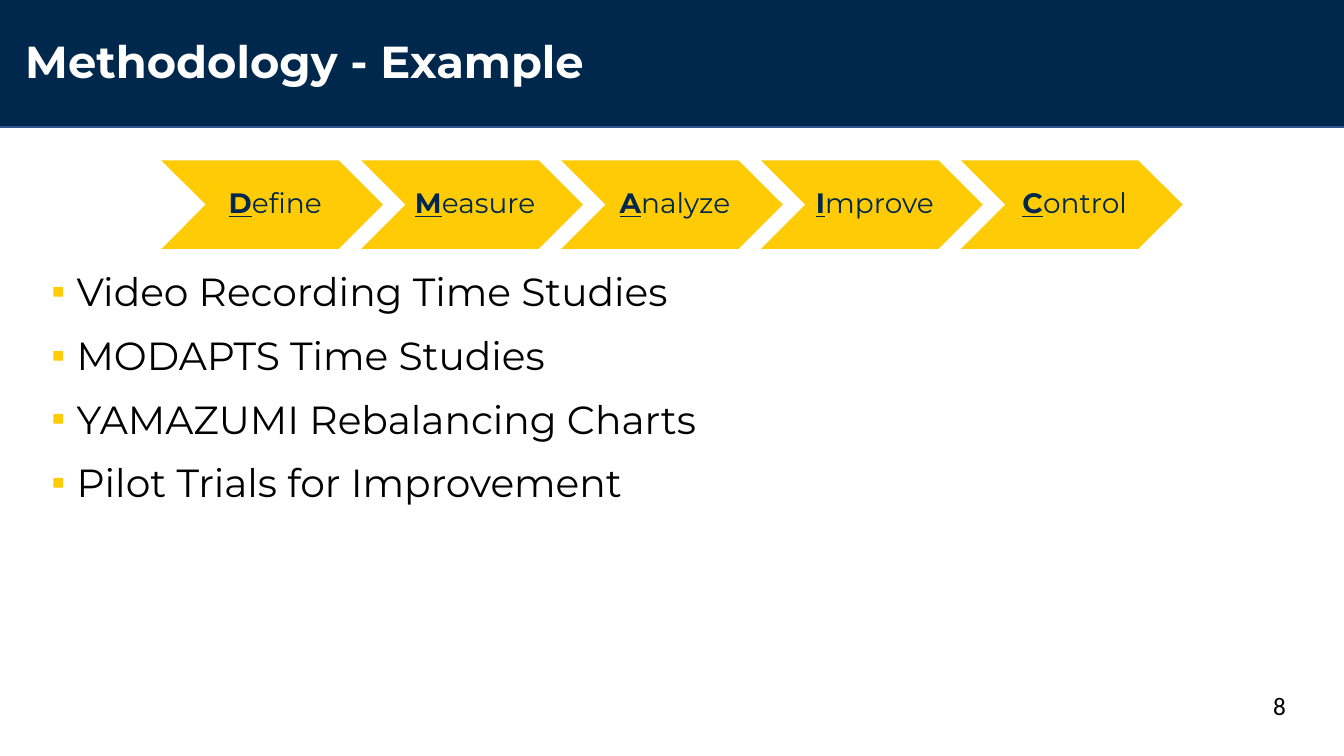
from dataclasses import dataclass

from lxml import etree
from pptx import Presentation
from pptx.dml.color import RGBColor
from pptx.enum.shapes import MSO_SHAPE as Shape
from pptx.enum.text import MSO_ANCHOR as Anchor, MSO_AUTO_SIZE as AutoSize, PP_ALIGN as Align
from pptx.oxml.ns import qn
from pptx.util import Inches, Pt


@dataclass(frozen=True)
class Theme:
    navy: RGBColor = RGBColor(0x00, 0x27, 0x4C)
    edge: RGBColor = RGBColor(0x32, 0x54, 0x91)
    maize: RGBColor = RGBColor(0xFF, 0xCB, 0x05)
    black: RGBColor = RGBColor(0, 0, 0)
    white: RGBColor = RGBColor(0xFF, 0xFF, 0xFF)
    font: str = "Montserrat"
    number_font: str = "Calibri"
    title: Pt = Pt(32)
    body: Pt = Pt(28)
    step: Pt = Pt(20)
    number: Pt = Pt(18)


THEME = Theme()
STEPS = ["Define", "Measure", "Analyze", "Improve", "Control"]
BULLETS = [
    "Video Recording Time Studies",
    "MODAPTS Time Studies",
    "YAMAZUMI Rebalancing Charts",
    "Pilot Trials for Improvement",
]


def set_attributes(target, values):
    for name, value in values.items():
        setattr(target, name, value)


def style_font(font, color, **values):
    set_attributes(font, values)
    font.color.rgb = color


def place(shape, box):
    names = ("left", "top", "width", "height")
    set_attributes(shape, dict(zip(names, map(Inches, box))))


def add_filled_shape(slide, kind, box, color):
    shape = slide.shapes.add_shape(kind, *map(Inches, box))
    shape.shadow.inherit = False
    shape.fill.solid()
    shape.fill.fore_color.rgb = color
    shape.line.fill.background()
    return shape


def add_header(slide, box, text):
    # Banner behind the title
    banner = add_filled_shape(slide, Shape.RECTANGLE, box, THEME.navy)
    banner.line.color.rgb = THEME.edge
    banner.line.width = Pt(1)
    slide.shapes.title._element.addprevious(banner._element)

    # Title
    left, top, _, _ = box
    title = slide.shapes.title
    place(title, (left + 0.29, top + 0.29, 11.5, 0.92))
    title.text = text
    set_attributes(title.text_frame, {
        "auto_size": AutoSize.NONE, "vertical_anchor": Anchor.MIDDLE, "word_wrap": True,
    })
    paragraph = title.text_frame.paragraphs[0]
    set_attributes(paragraph, {"alignment": Align.LEFT, "line_spacing": 0.9})
    style_font(paragraph.runs[0].font, THEME.white, name=THEME.font, size=THEME.title, bold=True)


def add_process(slide, box, steps):
    left, top, width, height = box
    step_width = 2.2
    pitch = (width - step_width) / (len(steps) - 1)
    for index, step in enumerate(steps):
        step_box = (left + index * pitch, top, step_width, height)
        chevron = add_filled_shape(slide, Shape.CHEVRON, step_box, THEME.maize)
        frame = chevron.text_frame
        set_attributes(frame, {
            "margin_left": Inches(0.09), "margin_right": Inches(0.03),
            "margin_top": Inches(0.03), "margin_bottom": Inches(0.03),
            "vertical_anchor": Anchor.MIDDLE, "word_wrap": False,
        })
        paragraph = frame.paragraphs[0]
        set_attributes(paragraph, {"alignment": Align.CENTER, "line_spacing": 0.9})
        # The initial stands out from the rest of the word
        for text, is_initial in ((step[0], True), (step[1:], False)):
            run = paragraph.add_run()
            run.text = text
            style_font(run.font, THEME.navy, name=THEME.font, size=THEME.step,
                       bold=is_initial, underline=is_initial)


def add_square_bullet(paragraph):
    properties = paragraph._p.get_or_add_pPr()
    indent = Inches(0.25)
    properties.set("marL", str(indent))
    properties.set("indent", str(-indent))
    color = etree.SubElement(properties, qn("a:buClr"))
    etree.SubElement(color, qn("a:srgbClr"), val=str(THEME.maize))
    etree.SubElement(properties, qn("a:buFont"), typeface="Arial")
    etree.SubElement(properties, qn("a:buChar"), char="▪")


def add_bullets(slide, box, items):
    body = slide.placeholders[1]
    place(body, box)
    frame = body.text_frame
    frame.text = "\n".join(items)
    set_attributes(frame, {
        "auto_size": AutoSize.NONE, "vertical_anchor": Anchor.TOP, "word_wrap": True,
    })
    for index, paragraph in enumerate(frame.paragraphs):
        set_attributes(paragraph, {
            "space_before": Pt(12 if index else 0), "space_after": Pt(0), "line_spacing": 1.0,
        })
        add_square_bullet(paragraph)
        style_font(paragraph.runs[0].font, THEME.black, name=THEME.font, size=THEME.body)


def add_page_number(slide, box, number):
    frame = slide.shapes.add_textbox(*map(Inches, box)).text_frame
    frame.word_wrap = True
    frame.text = str(number)
    style_font(frame.paragraphs[0].runs[0].font, THEME.black,
               name=THEME.number_font, size=THEME.number)


def main():
    presentation = Presentation()
    set_attributes(presentation, {"slide_width": Inches(13.33), "slide_height": Inches(7.5)})
    slide = presentation.slides.add_slide(presentation.slide_layouts[1])
    add_header(slide, (-0.14, -0.12, 13.59, 1.38), "Methodology - Example")
    add_process(slide, (1.6, 1.59, 10.13, 0.88), STEPS)
    add_bullets(slide, (0.41, 2.6, 12.45, 4.62), BULLETS)
    add_page_number(slide, (12.53, 6.8, 0.8, 0.57), 8)
    presentation.save("out.pptx")


if __name__ == "__main__":
    main()
